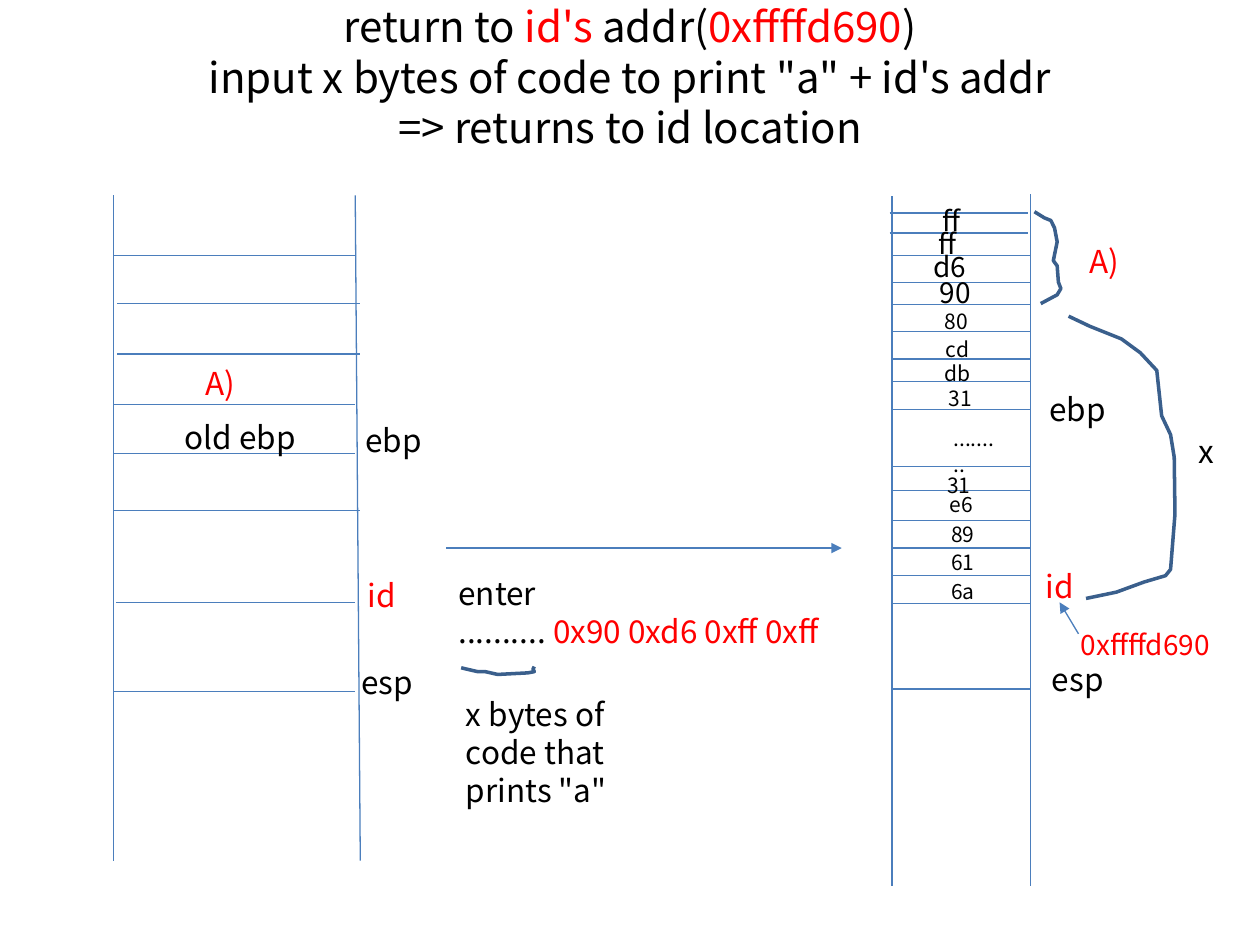
from lxml import etree
from pptx import Presentation
from pptx.dml.color import RGBColor
from pptx.enum.shapes import MSO_CONNECTOR
from pptx.enum.text import MSO_ANCHOR, MSO_AUTO_SIZE, PP_ALIGN
from pptx.oxml.ns import qn
from pptx.util import Pt

STRAIGHT = MSO_CONNECTOR.STRAIGHT
MIDDLE = MSO_ANCHOR.MIDDLE
FIT_SHAPE = MSO_AUTO_SIZE.SHAPE_TO_FIT_TEXT
NO_FIT = MSO_AUTO_SIZE.NONE
CENTER = PP_ALIGN.CENTER

FONT = "Noto Sans CJK KR"
COLORS = {"text": "000000", "accent": "FF0000", "line": "4B7EBC", "brace": "3A5F8C"}


def rgb(color):
    """Return the named colour."""
    return RGBColor.from_string(COLORS[color])


def style_font(paragraph, size, color):
    """Set the font of a whole paragraph."""
    paragraph.font.name = FONT
    paragraph.font.size = Pt(size)
    paragraph.font.color.rgb = rgb(color)


def add_runs(paragraph, runs):
    """Append (text, colour) runs to a paragraph."""
    for text, color in runs:
        run = paragraph.add_run()
        run.text = text
        run.font.color.rgb = rgb(color)


def add_label(slide, box, x, y, width, lines, size=18, color="text"):
    """Place lines of text, each a string or a list of runs, inside a box."""
    left, top = box[:2]
    height = len(lines) * size * 1.2 + 7.2
    label = slide.shapes.add_textbox(Pt(left + x), Pt(top + y), Pt(width), Pt(height))
    frame = label.text_frame
    frame.word_wrap = True
    frame.auto_size = FIT_SHAPE
    for index, line in enumerate(lines):
        paragraph = frame.add_paragraph() if index else frame.paragraphs[0]
        style_font(paragraph, size, color)
        if isinstance(line, str):
            paragraph.text = line
        else:
            add_runs(paragraph, line)


def add_line(slide, box, start, end, arrow=False):
    """Draw a thin line between two points of a box."""
    left, top = box[:2]
    line = slide.shapes.add_connector(
        STRAIGHT, Pt(left + start[0]), Pt(top + start[1]), Pt(left + end[0]), Pt(top + end[1]))
    line.line.color.rgb = rgb("line")
    line.line.width = Pt(0.75)
    properties = line.line._get_or_add_ln()
    if arrow:
        etree.SubElement(properties, qn("a:tailEnd"), type="triangle")
    etree.SubElement(properties.getparent(), qn("a:effectLst"))


def add_brace(slide, box, points):
    """Draw an open hand-drawn stroke through points of a box."""
    left, top = box[:2]
    spots = [(Pt(left + x), Pt(top + y)) for x, y in points]
    builder = slide.shapes.build_freeform(*spots[0])
    builder.add_line_segments(spots[1:], close=False)
    brace = builder.convert_to_shape()
    brace.shadow.inherit = False
    brace.fill.background()
    brace.line.color.rgb = rgb("brace")
    brace.line.width = Pt(2)


def add_title(slide, box):
    """Fill the title with three centred lines."""
    title = slide.shapes.title
    title.left, title.top, title.width, title.height = map(Pt, box)
    frame = title.text_frame
    frame.word_wrap = True
    frame.auto_size = NO_FIT
    frame.vertical_anchor = MIDDLE
    paragraph = frame.paragraphs[0]
    paragraph.alignment = CENTER
    style_font(paragraph, 24, "text")
    add_runs(paragraph, [("return to ", "text"), ("id's", "accent"), (" addr(", "text"),
                         ("0xffffd690", "accent"), (")", "text")])
    for line in ('input x bytes of code to print "a" + id\'s addr', "=> returns to id location"):
        paragraph.add_line_break()
        add_runs(paragraph, [(line, "text")])


def add_stack_before(slide, box):
    """Draw the stack before the input, with its registers."""
    width, height = box[2:]
    add_line(slide, box, (0, 0), (0, height))
    add_line(slide, box, (width, 0), (width + 2.9, height))
    dividers = [(0, 138.2, 34.6), (2.2, 141.1, 61.9), (2.2, 141.1, 90.7), (0, 138.2, 119.5),
                (0, 138.2, 147.6), (0, 141.1, 180), (1.4, 138.2, 232.6), (0, 138.2, 283.7)]
    for start, end, y in dividers:
        add_line(slide, box, (start, y), (end, y))
    labels = [("A)", 45.4, 92.9, 73.4, "accent"), ("old ebp", 33.8, 123.8, 114.5, "text"),
              ("ebp", 136.8, 125.3, 114.5, "text"), ("id", 138.2, 213.8, 80.6, "accent"),
              ("esp", 134.6, 263.5, 114.5, "text")]
    for text, x, y, label_width, color in labels:
        add_label(slide, box, x, y, label_width, [text], color=color)


def add_input(slide, box):
    """Show the entered bytes under the arrow between the stacks."""
    add_line(slide, box, (0, 0), (box[2], 0), arrow=True)
    add_label(slide, box, 0, 11.5, 244.8,
              ["enter", [(".......... ", "text"), ("0x90 0xd6 0xff 0xff", "accent")]])
    add_brace(slide, box, [(8.6, 68.4), (11.5, 69.1), (18, 70.6), (22.3, 70.6), (29.5, 72.2),
                           (46.8, 71.3), (50.4, 70.6), (49.7, 69.1), (50.4, 67.7)])
    add_label(slide, box, 4.3, 80.6, 98.6, ["x bytes of code that", 'prints "a"'])


def add_stack_after(slide, box):
    """Draw the overwritten stack byte by byte."""
    width, height = box[2:]
    for x, top in ((0, 0.3), (width, -1.1)):
        add_line(slide, box, (x, top), (x, height))
    for y in (9.7, 21.2):
        add_line(slide, box, (-1.4, y), (width - 1.4, y))
    for y in (34.2, 49.3, 62.2, 77.4, 93.2, 106.2, 122, 154.4,
              168.1, 185.4, 201.2, 217, 232.9, 281.8):
        add_line(slide, box, (0, y), (width, y))
    address_bytes = [("ff", 21.6, 1), ("ff", 19.4, 14), ("d6", 16.5, 27), ("90", 20.1, 42.1)]
    code_bytes = [("80", 23, 60.8), ("cd", 23.7, 76.6), ("db", 23, 90.3), ("31", 25.2, 104.7),
                  (".........", 28, 127.8), ("31", 24.4, 154.4), ("e6", 25.9, 165.2),
                  ("89", 26.6, 182.5), ("61", 26.6, 198.3), ("6a", 26.6, 214.9)]
    for stack_bytes, size, label_width in ((address_bytes, 16, 40), (code_bytes, 12, 38.9)):
        for text, x, y in stack_bytes:
            add_label(slide, box, x, y, label_width, [text], size)


def add_stack_notes(slide, box):
    """Mark registers, address and byte ranges beside the overwritten stack."""
    labels = [("A)", 25.6, 22.6, 73.4, 18, "accent"), ("ebp", 2.6, 107.6, 114.5, 18, "text"),
              ("x", 87.5, 131.4, 42.5, 18, "text"), ("id", 0.4, 208.4, 80.6, 18, "accent"),
              ("0xffffd690", 20.6, 243, 92.9, 16, "accent"), ("esp", 4, 261.7, 114.5, 18, "text")]
    for text, x, y, width, size, color in labels:
        add_label(slide, box, x, y, width, [text], size, color)
    add_line(slide, box, (26.3, 250.2), (15.5, 232.2), arrow=True)
    address_range = [(1.1, 9), (6.9, 12.6), (10.5, 14), (12.6, 18.3), (14.1, 26.2), (11.9, 37),
                     (14.1, 39.9), (14.8, 49.3), (16.2, 52.9), (14.1, 56.5), (4.7, 61.5)]
    code_range = [(20.6, 68.7), (32.8, 74.5), (50.8, 81.7), (61.6, 89.6), (71, 99.7),
                  (72.4, 112.6), (73.8, 125.6), (78.9, 136.4), (81, 149.4), (81.4, 181.8),
                  (78.9, 213.4), (76, 217), (63.8, 220.6), (47.9, 226.4), (30.6, 230)]
    for points in (address_range, code_range):
        add_brace(slide, box, points)


def main():
    """Build the slide and save it."""
    deck = Presentation()
    deck.slide_width, deck.slide_height = Pt(720), Pt(540)
    slide = deck.slides.add_slide(deck.slide_layouts.get_by_name("Title Only"))
    add_title(slide, (36, 21.6, 648, 43.9))
    add_stack_before(slide, (64.8, 111.6, 138.2, 380.2))
    add_input(slide, (254.9, 313.2, 226.1, 160))
    add_stack_after(slide, (509.8, 112, 79.2, 394.5))
    add_stack_notes(slide, (590, 112, 130, 300))
    deck.save("out.pptx")


if __name__ == "__main__":
    main()
